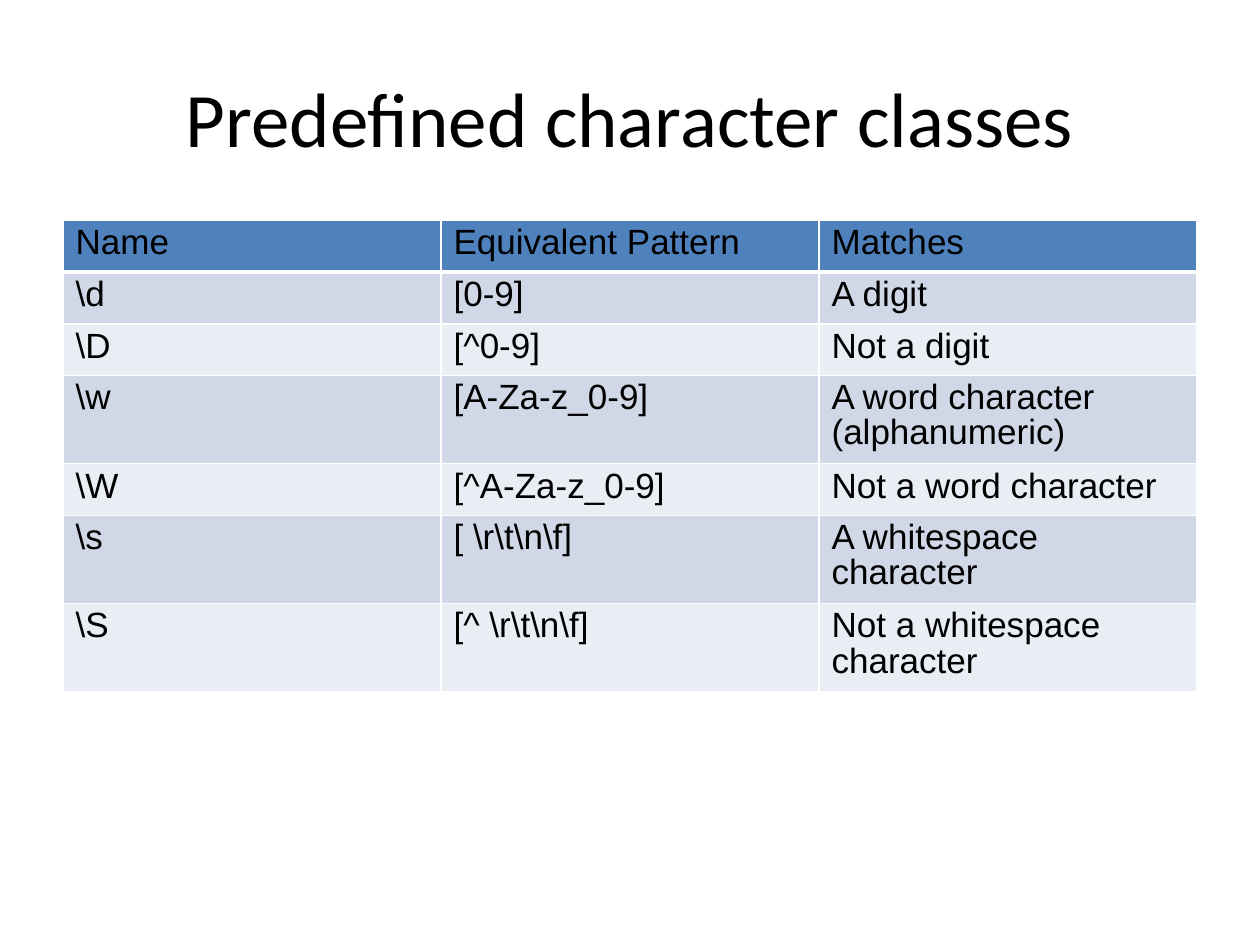
"""Build a slide with a table of predefined regular expression character classes."""
from lxml import etree
from pptx import Presentation, util as u
from pptx.dml.color import RGBColor
from pptx.enum import text
from pptx.oxml import ns

COLORS = {"text": "000000", "header": "4F81BD", "odd": "D0D8E8", "even": "E9EDF4", "border": "FFFFFF"}
ROWS = [
    ("Name", "Equivalent Pattern", "Matches"),
    (r"\d", "[0-9]", "A digit"),
    (r"\D", "[^0-9]", "Not a digit"),
    (r"\w", "[A-Za-z_0-9]", "A word character (alphanumeric)"),
    (r"\W", "[^A-Za-z_0-9]", "Not a word character"),
    (r"\s", r"[ \r\t\n\f]", "A whitespace character"),
    (r"\S", r"[^ \r\t\n\f]", "Not a whitespace character"),
]


def write(frame, words, font, size, align=text.PP_ALIGN.LEFT, spacing=1.0):
    frame.word_wrap = True
    para = frame.paragraphs[0]
    para.alignment = align
    para.line_spacing = spacing
    span = para.add_run()
    span.text = words
    span.font.name = font
    span.font.size = u.Pt(size)
    span.font.bold = False
    span.font.color.rgb = RGBColor.from_string(COLORS["text"])


def add_border(cell, side, width):
    line = etree.SubElement(cell._tc.get_or_add_tcPr(), ns.qn(f"a:ln{side}"), w=str(u.Pt(width)))
    fill = etree.SubElement(line, ns.qn("a:solidFill"))
    etree.SubElement(fill, ns.qn("a:srgbClr"), val=COLORS["border"])


deck = Presentation()
deck.slide_width, deck.slide_height = u.Inches(10), u.Inches(7.5)
page = deck.slides.add_slide(deck.slide_layouts[6])
margin = int(deck.slide_width * 0.05)
content_width = deck.slide_width - 2 * margin

title = page.shapes.add_textbox(margin, u.Inches(0.3), content_width, u.Inches(1.25))
title.text_frame.vertical_anchor = text.MSO_ANCHOR.MIDDLE
write(title.text_frame, "Predefined character classes", "Calibri", 44, align=text.PP_ALIGN.CENTER)

row_height = u.Inches(0.41)
table = page.shapes.add_table(
    len(ROWS), len(ROWS[0]), margin, u.Inches(1.75), content_width, row_height * len(ROWS)
).table

for row, entries in enumerate(ROWS):
    shade = "header" if row == 0 else "odd" if row % 2 else "even"
    widths = {"L": 1, "R": 1, "T": 3 if row == 1 else 1, "B": 3 if row == 0 else 1}
    for column, words in enumerate(entries):
        cell = table.cell(row, column)
        write(cell.text_frame, words, "Arial", 20, spacing=0.9)
        for side, width in widths.items():
            add_border(cell, side, width)
        cell.fill.solid()
        cell.fill.fore_color.rgb = RGBColor.from_string(COLORS[shade])

deck.save("out.pptx")
